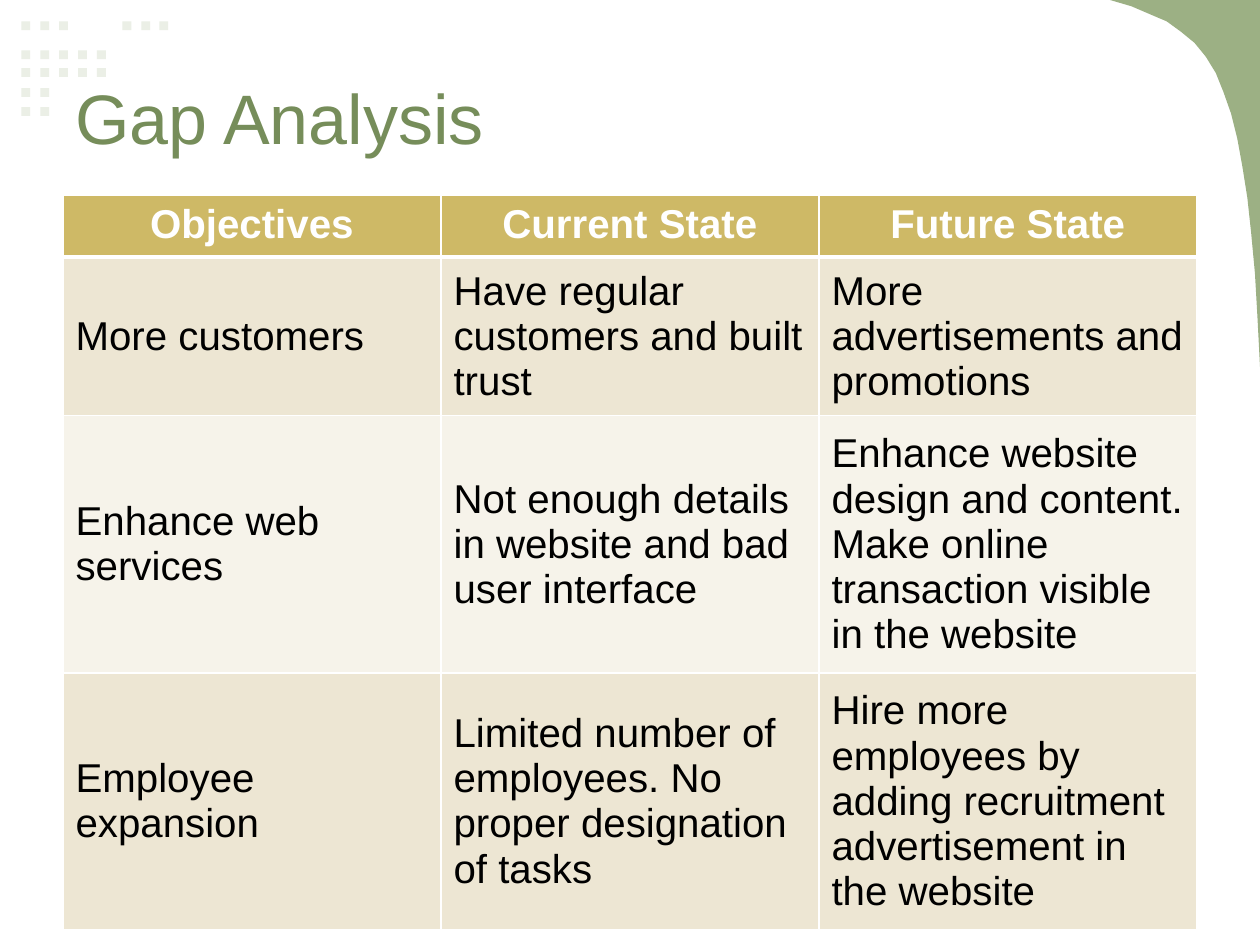
"""Build the Gap Analysis slide with its table and corner decorations."""
from lxml.etree import SubElement
from pptx import Presentation
from pptx.dml.color import RGBColor
from pptx.enum.shapes import MSO_SHAPE
from pptx.enum.text import MSO_ANCHOR as ANCHOR, PP_ALIGN as ALIGN
from pptx.oxml.ns import qn
from pptx.util import Inches, Pt

FONT = "Arial"
WHITE = RGBColor(0xFF, 0xFF, 0xFF)
BLACK = RGBColor(0, 0, 0)
PALE_GREEN = RGBColor(0xEB, 0xEF, 0xE6)
GREEN = RGBColor(0x9C, 0xB0, 0x84)
TITLE_GREEN = RGBColor(0x76, 0x8D, 0x5A)
GOLD = RGBColor(0xCE, 0xB9, 0x66)
BANDS = [RGBColor(0xED, 0xE6, 0xD3), RGBColor(0xF6, 0xF3, 0xEA)]

TITLE = "Gap Analysis"
ROWS = [
    ("Objectives", "Current State", "Future State"),
    ("More customers", "Have regular customers and built trust",
     "More advertisements and promotions"),
    ("Enhance web services",
     "Not enough details in website and bad user interface",
     "Enhance website design and content. Make online transaction visible in the website"),
    ("Employee expansion",
     "Limited number of employees. No proper designation of tasks",
     "Hire more employees by adding recruitment advertisement in the website"),
]
ROW_HEIGHTS = [0.49, 1.26, 2.04, 2.04]
COL_WIDTH = 3

DOT_SIZE = 0.07
DOT_LEFT, DOT_STEP = 0.17, 0.15
DOT_ROWS = [
    (0.17, (0, 1, 2, 5.35, 6.35, 7.3)),
    (0.40, range(5)),
    (0.54, range(5)),
    (0.70, range(2)),
    (0.85, range(2)),
]
CORNER = [
    (8.81, 0), (10, 0), (10, 2.91), (9.98, 2.52), (9.96, 2.17), (9.93, 1.85),
    (9.9, 1.57), (9.86, 1.32), (9.82, 1.1), (9.77, 0.9), (9.71, 0.73),
    (9.65, 0.58), (9.57, 0.45), (9.48, 0.34), (9.37, 0.25), (9.26, 0.17),
    (9.12, 0.11), (8.98, 0.05),
]


def paint(sp, color):
    sp.shadow.inherit = False
    sp.fill.solid()
    sp.fill.fore_color.rgb = color
    sp.line.fill.background()


def add_run(p, text, size, color, bold=False):
    r = p.add_run()
    r.text = text
    r.font.name = FONT
    r.font.size = Pt(size)
    r.font.bold = bold
    r.font.color.rgb = color


def add_borders(cell, **widths):
    tc_pr = cell._tc.get_or_add_tcPr()
    for side in "LRTB":
        ln = SubElement(tc_pr, qn(f"a:ln{side}"), w=str(Pt(widths.get(side, 1))))
        fill = SubElement(ln, qn("a:solidFill"))
        SubElement(fill, qn("a:srgbClr"), val=str(WHITE))


def add_decorations(s):
    for top, steps in DOT_ROWS:
        for step in steps:
            dot = s.shapes.add_shape(
                MSO_SHAPE.RECTANGLE, Inches(DOT_LEFT + step * DOT_STEP),
                Inches(top), Inches(DOT_SIZE), Inches(DOT_SIZE))
            paint(dot, PALE_GREEN)
    points = [(Inches(x), Inches(y)) for x, y in CORNER]
    builder = s.shapes.build_freeform(*points[0])
    builder.add_line_segments(points[1:], close=True)
    paint(builder.convert_to_shape(), GREEN)


def add_title(s):
    box = s.shapes.add_textbox(Inches(0.5), Inches(0.3), Inches(9), Inches(1.25))
    tf = box.text_frame
    tf.word_wrap = True
    tf.vertical_anchor = ANCHOR.MIDDLE
    add_run(tf.paragraphs[0], TITLE, 40, TITLE_GREEN)


def add_gap_table(s):
    cols = len(ROWS[0])
    table = s.shapes.add_table(
        len(ROWS), cols, Inches(0.5), Inches(1.55),
        Inches(COL_WIDTH * cols), Inches(sum(ROW_HEIGHTS))).table
    for col in table.columns:
        col.width = Inches(COL_WIDTH)
    for i, (texts, height) in enumerate(zip(ROWS, ROW_HEIGHTS)):
        table.rows[i].height = Inches(height)
        header = i == 0
        for j, text in enumerate(texts):
            cell = table.cell(i, j)
            add_borders(cell, B=3 if header else 1, T=3 if i == 1 else 1)
            cell.fill.solid()
            cell.fill.fore_color.rgb = GOLD if header else BANDS[(i - 1) % 2]
            cell.vertical_anchor = ANCHOR.TOP if header else ANCHOR.MIDDLE
            p = cell.text_frame.paragraphs[0]
            p.alignment = ALIGN.CENTER if header else ALIGN.LEFT
            add_run(p, text, 23, WHITE if header else BLACK, header)


def main():
    prs = Presentation()
    prs.slide_width, prs.slide_height = Inches(10), Inches(7.5)
    s = prs.slides.add_slide(prs.slide_layouts[6])
    add_decorations(s)
    add_title(s)
    add_gap_table(s)
    prs.save("out.pptx")


if __name__ == "__main__":
    main()
